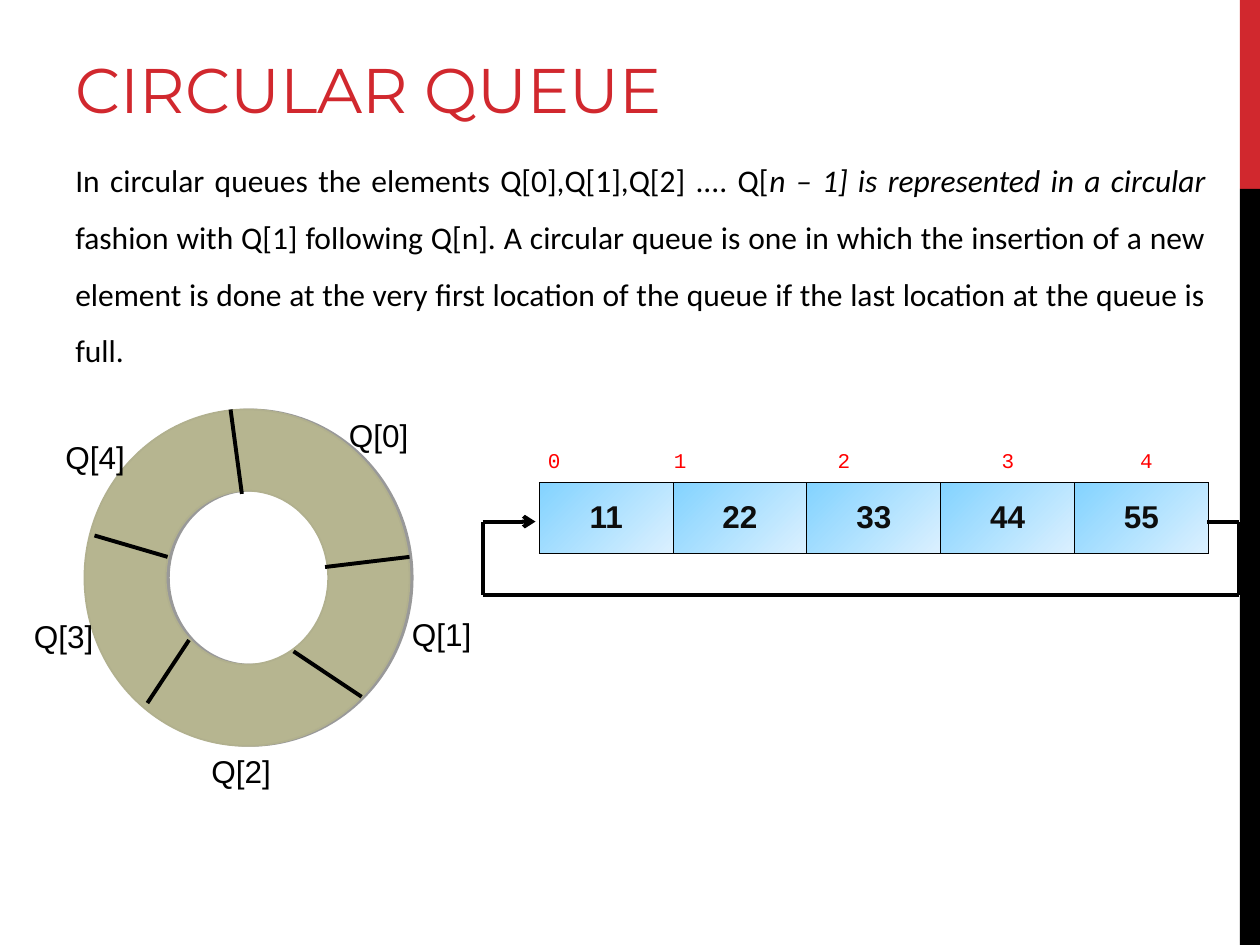
from itertools import pairwise

from lxml.etree import SubElement
from pptx import Presentation
from pptx.dml.color import RGBColor
from pptx.enum.shapes import MSO_CONNECTOR as Connector, MSO_SHAPE as Shape
from pptx.enum.text import MSO_ANCHOR as Anchor, MSO_AUTO_SIZE as AutoSize, PP_ALIGN as Align
from pptx.oxml import parse_xml
from pptx.oxml.ns import nsdecls, qn
from pptx.util import Inches, Pt

RED, BLACK, INK, INDEX_RED = "D1282E", "000000", "0D0D0D", "FF0000"
RING, RING_EDGE = "B6B590", "B1B08E"
CELL_START, CELL_END = "83D3FF", "DBF0FF"


def color(value):
    return RGBColor.from_string(value)


def apply(target, values):
    for name, value in values.items():
        setattr(target, name, value)


class QueueSlide:
    title_font = {"name": "Montserrat", "size": Pt(36)}
    body_font = {"name": "Calibri", "size": Pt(18)}
    label_font = {"name": "Arial", "size": Pt(18)}
    cell_font = {"name": "Arial", "size": Pt(18), "bold": True}
    index_font = {"name": "Courier New", "size": Pt(12)}
    line_width = Pt(2.25)

    def __init__(self, deck):
        self.page = deck.slides.add_slide(deck.slide_layouts[5])
        self.shapes = self.page.shapes

    def span(self, para, text, font, ink=BLACK, **extra):
        span = para.add_run()
        span.text = text
        apply(span.font, font | extra)
        span.font.color.rgb = color(ink)

    def title(self, text, left, top, width, height):
        box = self.shapes.title
        apply(box, {"left": Inches(left), "top": Inches(top),
                    "width": Inches(width), "height": Inches(height)})
        apply(box.text_frame, {"vertical_anchor": Anchor.BOTTOM, "auto_size": AutoSize.NONE})
        para = box.text_frame.paragraphs[0]
        para.alignment = Align.LEFT
        self.span(para, text, self.title_font, RED)

    def text(self, left, top, width, height, **format_values):
        box = self.shapes.add_textbox(*map(Inches, (left, top, width, height)))
        box.text_frame.word_wrap = True
        para = box.text_frame.paragraphs[0]
        apply(para, format_values)
        return para

    def bar(self, top, height, fill):
        bar = self.shapes.add_shape(Shape.RECTANGLE, *map(Inches, (9.84, top, 0.16, height)))
        bar.shadow.inherit = False
        bar.fill.solid()
        bar.fill.fore_color.rgb = color(fill)
        bar.line.fill.background()

    def ring(self, left, top, width, height):
        ring = self.shapes.add_shape(Shape.DONUT, *map(Inches, (left, top, width, height)))
        ring.adjustments[0] = 0.25
        ring.fill.solid()
        ring.fill.fore_color.rgb = color(RING)
        ring.line.color.rgb = color(RING_EDGE)
        ring.line.width = Pt(1)
        ring.shadow.inherit = False
        effects = ring._element.spPr.find(qn("a:effectLst"))
        effects.append(parse_xml(
            f'<a:outerShdw {nsdecls("a")} blurRad="0" dist="{Pt(1.8)}" dir="0">'
            f'<a:srgbClr val="{BLACK}"><a:alpha val="40000"/></a:srgbClr></a:outerShdw>'))

    def line(self, start, end, arrow=False):
        line = self.shapes.add_connector(Connector.STRAIGHT, *map(Inches, (*start, *end)))
        line.line.color.rgb = color(BLACK)
        line.line.width = self.line_width
        if arrow:
            SubElement(line.line._get_or_add_ln(), qn("a:tailEnd"), type="arrow")
        SubElement(line._element.spPr, qn("a:effectLst"))

    def indexes(self, labels, stops, left, top, width, height):
        para = self.text(left, top, width, height)
        tabs = SubElement(para._p.get_or_add_pPr(), qn("a:tabLst"))
        for stop in stops:
            SubElement(tabs, qn("a:tab"), pos=str(Inches(stop)), algn="l")
        self.span(para, "\t".join(labels), self.index_font, INDEX_RED)

    def table(self, values, left, top, width, height):
        frame = self.shapes.add_table(1, len(values), *map(Inches, (left, top, width, height)))
        apply(frame.table, {"first_row": False, "horz_banding": False})
        for cell, value in zip(frame.table.iter_cells(), values):
            cell.vertical_anchor = Anchor.MIDDLE
            para = cell.text_frame.paragraphs[0]
            para.alignment = Align.CENTER
            self.span(para, value, self.cell_font, INK)
            cell.fill.gradient()
            cell.fill.gradient_angle = 315
            for stop, shade in zip(cell.fill.gradient_stops, (CELL_START, CELL_END)):
                stop.color.rgb = color(shade)
            for place, side in enumerate("LRTB"):
                cell._tc.get_or_add_tcPr().insert(place, parse_xml(
                    f'<a:ln{side} {nsdecls("a")} w="{Pt(0.45)}"><a:solidFill>'
                    f'<a:srgbClr val="{BLACK}"/></a:solidFill></a:ln{side}>'))


def main():
    deck = Presentation()
    apply(deck, {"slide_width": Inches(10), "slide_height": Inches(7.5)})
    slide = QueueSlide(deck)

    slide.bar(0, 1.5, RED)
    slide.bar(1.5, 6, BLACK)
    slide.title("CIRCULAR QUEUE", 0.5, 0.25, 8.17, 0.8)

    body = slide.text(0.5, 1.08, 9.17, 1.9, alignment=Align.JUSTIFY, line_spacing=1.5)
    slide.span(body, "In circular queues the elements Q[0],Q[1],Q[2] .... Q[", slide.body_font)
    slide.span(body, "n – 1] is represented in a circular ", slide.body_font, italic=True)
    slide.span(body, "fashion with Q[1] following Q[n]. A circular queue is one in which "
               "the insertion of a new element is done at the very first location of the "
               "queue if the last location at the queue is full.", slide.body_font)

    slide.table(["11", "22", "33", "44", "55"], 4.28, 3.83, 5.31, 0.56)

    slide.ring(0.67, 3.25, 2.58, 2.67)
    dividers = [((1.92, 3.92), (1.83, 3.25)), ((2.58, 4.5), (3.25, 4.42)),
                ((1.33, 4.42), (0.75, 4.25)), ((1.5, 5.08), (1.17, 5.58)),
                ((2.33, 5.17), (2.87, 5.53))]
    for inner, outer in dividers:
        slide.line(inner, outer)

    label_places = [(2.67, 3.25), (3.17, 4.83), (1.58, 5.92), (0.17, 4.85), (0.42, 3.43)]
    for number, (left, top) in enumerate(label_places):
        slide.span(slide.text(left, top, 0.75, 0.4), f"Q[{number}]", slide.label_font)

    loop = [(9.58, 4.14), (9.83, 4.14), (9.83, 4.72), (3.83, 4.72), (3.83, 4.14), (4.25, 4.14)]
    for start, end in pairwise(loop):
        slide.line(start, end, arrow=end == loop[-1])
    slide.indexes("01234", (1, 2.3, 3.6, 4.7), 4.25, 3.5, 5.25, 0.3)

    deck.save("out.pptx")


if __name__ == "__main__":
    main()
